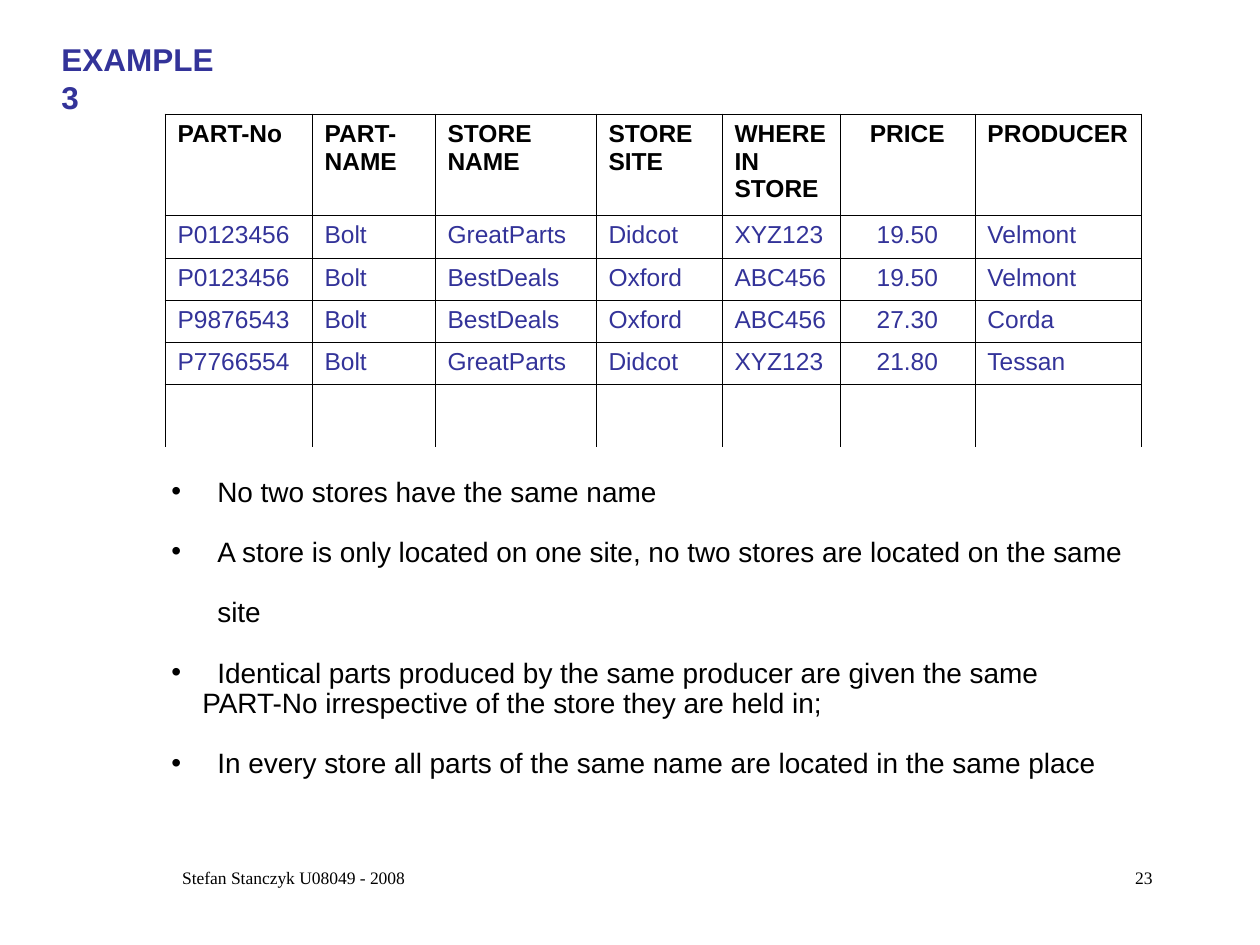
from dataclasses import dataclass

from lxml import etree
from pptx import Presentation, util as u
from pptx.dml.color import RGBColor
from pptx.enum import text as t
from pptx.oxml import ns

SCALE = 914400 / 126


@dataclass(frozen=True)
class Theme:
    """Colours, fonts and sizes of the slide."""
    ink: str = "000000"
    accent: str = "333399"
    sans: str = "Arial"
    serif: str = "Times New Roman"
    title: int = 18
    body: int = 16
    cell: int = 14
    footer: int = 10
    border: float = 0.45


THEME = Theme()
COLUMN_WIDTHS = [147, 123, 161, 126, 118, 135, 167]
ROW_HEIGHTS = [101, 43, 42, 42, 43, 62]
PRICE_COLUMN = 5
HEADERS = ["PART-No", "PART-NAME", "STORE NAME", "STORE SITE", "WHERE IN STORE", "PRICE", "PRODUCER"]
PARTS = [
    ["P0123456", "Bolt", "GreatParts", "Didcot", "XYZ123", "19.50", "Velmont"],
    ["P0123456", "Bolt", "BestDeals", "Oxford", "ABC456", "19.50", "Velmont"],
    ["P9876543", "Bolt", "BestDeals", "Oxford", "ABC456", "27.30", "Corda"],
    ["P7766554", "Bolt", "GreatParts", "Didcot", "XYZ123", "21.80", "Tessan"],
]
RULES = [
    ("No two stores have the same name", True),
    ("A store is only located on one site, no two stores are located on the same site", True),
    ("Identical parts produced by the same producer are given the same", True),
    ("PART-No irrespective of the store they are held in;", False),
    ("In every store all parts of the same name are located in the same place", True),
]


def px(length):
    """Turn pixels into EMU."""
    return u.Emu(round(length * SCALE))


def write(paragraph, content, size, font=THEME.sans, color=THEME.ink, bold=False,
          align=t.PP_ALIGN.LEFT, spacing=None):
    """Put formatted text into a paragraph."""
    run = paragraph.add_run()
    run.text = content
    run.font.size = u.Pt(size)
    run.font.name = font
    run.font.bold = bold
    run.font.color.rgb = RGBColor.from_string(color)
    paragraph.alignment = align
    if spacing:
        paragraph.line_spacing = spacing


def add_frame(slide, box, wrap=True):
    """Add a text box and return its text frame."""
    frame = slide.shapes.add_textbox(*map(px, box)).text_frame
    frame.word_wrap = wrap
    return frame


def add_label(slide, box, content, size, wrap=True, **style):
    """Add a text box holding one paragraph."""
    write(add_frame(slide, box, wrap).paragraphs[0], content, size, **style)


def set_borders(cell, sides):
    """Rule the named sides of a cell and clear the others."""
    properties = cell._tc.get_or_add_tcPr()
    for side in "LRTB":
        line = etree.SubElement(properties, ns.qn(f"a:ln{side}"), w=str(u.Pt(THEME.border)))
        if side in sides:
            fill = etree.SubElement(line, ns.qn("a:solidFill"))
            etree.SubElement(fill, ns.qn("a:srgbClr"), val=THEME.ink)
        else:
            etree.SubElement(line, ns.qn("a:noFill"))


def set_indent(paragraph, indent, bulleted):
    """Indent a paragraph, hanging a bullet when asked."""
    properties = paragraph._p.get_or_add_pPr()
    properties.set("marL", str(px(indent)))
    properties.set("indent", str(px(-indent) if bulleted else 0))
    if bulleted:
        color = etree.SubElement(properties, ns.qn("a:buClr"))
        etree.SubElement(color, ns.qn("a:srgbClr"), val=THEME.ink)
        etree.SubElement(properties, ns.qn("a:buFont"), typeface=THEME.sans)
        etree.SubElement(properties, ns.qn("a:buChar"), char="•")
    else:
        etree.SubElement(properties, ns.qn("a:buNone"))


def add_parts_table(slide, left, top):
    """Add the parts table with an open last row."""
    rows = [HEADERS, *PARTS, [""] * len(HEADERS)]
    size = (sum(COLUMN_WIDTHS), sum(ROW_HEIGHTS))
    table = slide.shapes.add_table(len(rows), len(HEADERS), *map(px, (left, top, *size))).table
    table.first_row = table.horz_banding = False
    for column, width in zip(table.columns, COLUMN_WIDTHS):
        column.width = px(width)
    for row, height in zip(table.rows, ROW_HEIGHTS):
        row.height = px(height)
    for row_index, values in enumerate(rows):
        header = row_index == 0
        for column_index, value in enumerate(values):
            cell = table.cell(row_index, column_index)
            set_borders(cell, "LRTB" if row_index < len(rows) - 1 else "LRT")
            cell.fill.background()
            if value:
                centred = column_index == PRICE_COLUMN
                write(cell.text_frame.paragraphs[0], value, THEME.cell, bold=header,
                      color=THEME.ink if header else THEME.accent,
                      align=t.PP_ALIGN.CENTER if centred else t.PP_ALIGN.LEFT)


def add_rules(slide, box):
    """Add the list of rules below the table."""
    frame = add_frame(slide, box)
    for index, (rule, bulleted) in enumerate(RULES):
        paragraph = frame.add_paragraph() if index else frame.paragraphs[0]
        set_indent(paragraph, 46 if bulleted else 31, bulleted)
        write(paragraph, rule, THEME.body, spacing=1.8 if bulleted else 0.9)


def add_footer(slide, left, top, width, height):
    """Add the author line and the page number."""
    add_label(slide, (left, top, 399, height), "Stefan Stanczyk U08049 - 2008", THEME.footer,
              font=THEME.serif, align=t.PP_ALIGN.CENTER)
    add_label(slide, (left + width - 262, top, 262, height), "23", THEME.footer,
              font=THEME.serif, align=t.PP_ALIGN.RIGHT)


def main():
    """Build and save the slide."""
    presentation = Presentation()
    presentation.slide_width, presentation.slide_height = px(1260), px(945)
    slide = presentation.slides.add_slide(presentation.slide_layouts[6])
    add_parts_table(slide, 165, 114)
    add_rules(slide, (159, 441, 1008, 285))
    add_label(slide, (49, 34, 203, 50), "EXAMPLE 3", THEME.title, wrap=False,
              color=THEME.accent, bold=True)
    add_footer(slide, 94, 861, 1071, 63)
    presentation.save("out.pptx")


if __name__ == "__main__":
    main()
